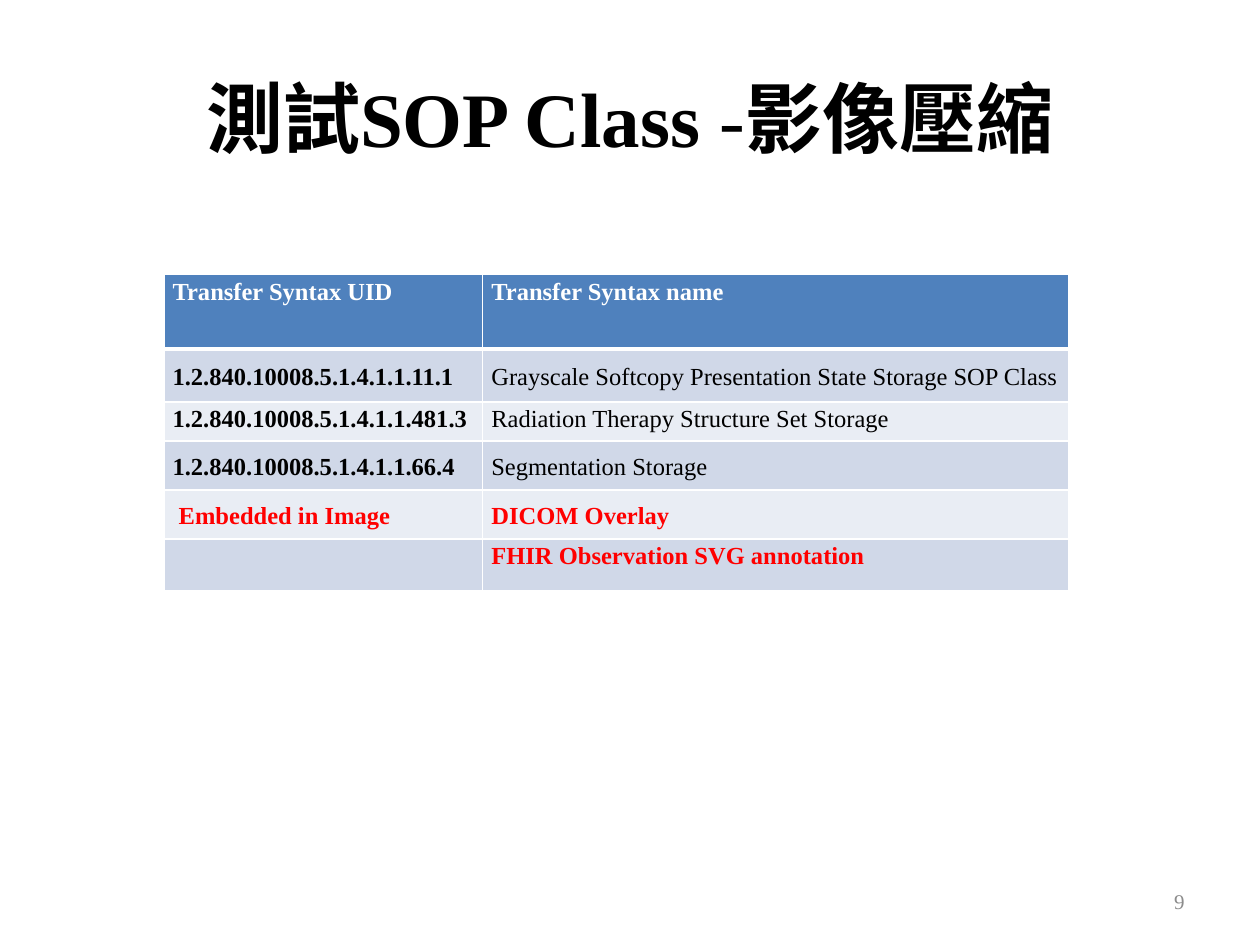
from lxml import etree
from pptx import Presentation
from pptx.dml.color import RGBColor
from pptx.enum.text import MSO_ANCHOR, PP_ALIGN
from pptx.oxml.ns import qn
from pptx.util import Inches, Pt

TOP, MIDDLE = MSO_ANCHOR.TOP, MSO_ANCHOR.MIDDLE
LEFT, CENTER, RIGHT, JUSTIFY = PP_ALIGN.LEFT, PP_ALIGN.CENTER, PP_ALIGN.RIGHT, PP_ALIGN.JUSTIFY
WHITE = RGBColor(0xFF, 0xFF, 0xFF)
BLACK = RGBColor(0, 0, 0)
RED = RGBColor(0xFF, 0, 0)
GRAY = RGBColor(0x8C, 0x8C, 0x8C)
HEADER_BLUE = RGBColor(0x4F, 0x81, 0xBD)
BANDS = (RGBColor(0xE9, 0xED, 0xF4), RGBColor(0xD0, 0xD8, 0xE8))
FONT = "Times New Roman"

COLUMN_WIDTHS = (2.53, 4.65)
ROWS = (
    (0.59, TOP, WHITE, True, "Transfer Syntax UID", "Transfer Syntax name"),
    (0.42, MIDDLE, BLACK, False, "1.2.840.10008.5.1.4.1.1.11.1",
     "Grayscale Softcopy Presentation State Storage SOP Class"),
    (0.31, TOP, BLACK, False, "1.2.840.10008.5.1.4.1.1.481.3",
     "Radiation Therapy Structure Set Storage"),
    (0.39, MIDDLE, BLACK, False, "1.2.840.10008.5.1.4.1.1.66.4", "Segmentation Storage"),
    (0.39, MIDDLE, RED, True, "\u00a0Embedded in Image ", "DICOM Overlay"),
    (0.41, TOP, RED, True, "", "FHIR Observation SVG annotation"),
)


def style_span(span, size, color, bold):
    """Give a run its font, size, colour and weight."""
    span.font.name = FONT
    span.font.size = Pt(size)
    span.font.color.rgb = color
    span.font.bold = bold


def add_text(page, box, spans, size, color, align):
    """Place one line of (text, bold) spans, centred vertically in the box."""
    frame = page.shapes.add_textbox(*map(Inches, box)).text_frame
    frame.word_wrap = True
    frame.vertical_anchor = MIDDLE
    para = frame.paragraphs[0]
    para.alignment = align
    for text, bold in spans:
        span = para.add_run()
        span.text = text
        style_span(span, size, color, bold)


def set_borders(cell, bottom_width):
    """Draw white borders around a cell, in schema order before its fill."""
    properties = cell._tc.get_or_add_tcPr()
    edges = (("a:lnL", 1), ("a:lnR", 1), ("a:lnT", 1), ("a:lnB", bottom_width))
    for index, (tag, width) in enumerate(edges):
        line = etree.Element(qn(tag), w=str(Pt(width)))
        fill = etree.SubElement(line, qn("a:solidFill"))
        etree.SubElement(fill, qn("a:srgbClr"), val=str(WHITE))
        properties.insert(index, line)


def fill_cell(cell, text, color, bold, anchor, align, background):
    """Write and format one table cell."""
    cell.margin_left = cell.margin_right = Inches(0.07)
    cell.margin_top = cell.margin_bottom = Inches(0)
    cell.vertical_anchor = anchor
    cell.fill.solid()
    cell.fill.fore_color.rgb = background
    if text:
        para = cell.text_frame.paragraphs[0]
        para.text = text
        para.alignment = align
        para.line_spacing = 1.15
        style_span(para.runs[0], 14, color, bold)


def add_syntax_table(page, box):
    """Place the transfer syntax table in the box."""
    table = page.shapes.add_table(len(ROWS), len(COLUMN_WIDTHS), *map(Inches, box)).table
    for column, width in zip(table.columns, COLUMN_WIDTHS):
        column.width = Inches(width)
    for row, (height, anchor, color, bold, *texts) in enumerate(ROWS):
        table.rows[row].height = Inches(height)
        header = row == 0
        background = HEADER_BLUE if header else BANDS[row % 2]
        for column, text in enumerate(texts):
            cell = table.cell(row, column)
            fill_cell(cell, text, color, bold or column == 0, anchor,
                      JUSTIFY if header else LEFT, background)
            set_borders(cell, 3 if header else 1)


def build_page(deck):
    """Add the slide with its title, table and page number."""
    page = deck.slides.add_slide(deck.slide_layouts[6])
    title = (("測試SOP Class ", True), ("-", False), ("影像壓縮", True))
    add_text(page, (0.5, 0.3, 9, 1.25), title, 44, BLACK, CENTER)
    add_syntax_table(page, (1.3, 2.18, 7.18, 2.52))
    add_text(page, (7.17, 6.95, 2.33, 0.4), (("9", False),), 12, GRAY, RIGHT)


deck = Presentation()
deck.slide_width, deck.slide_height = Inches(10), Inches(7.5)
build_page(deck)
deck.save("out.pptx")
